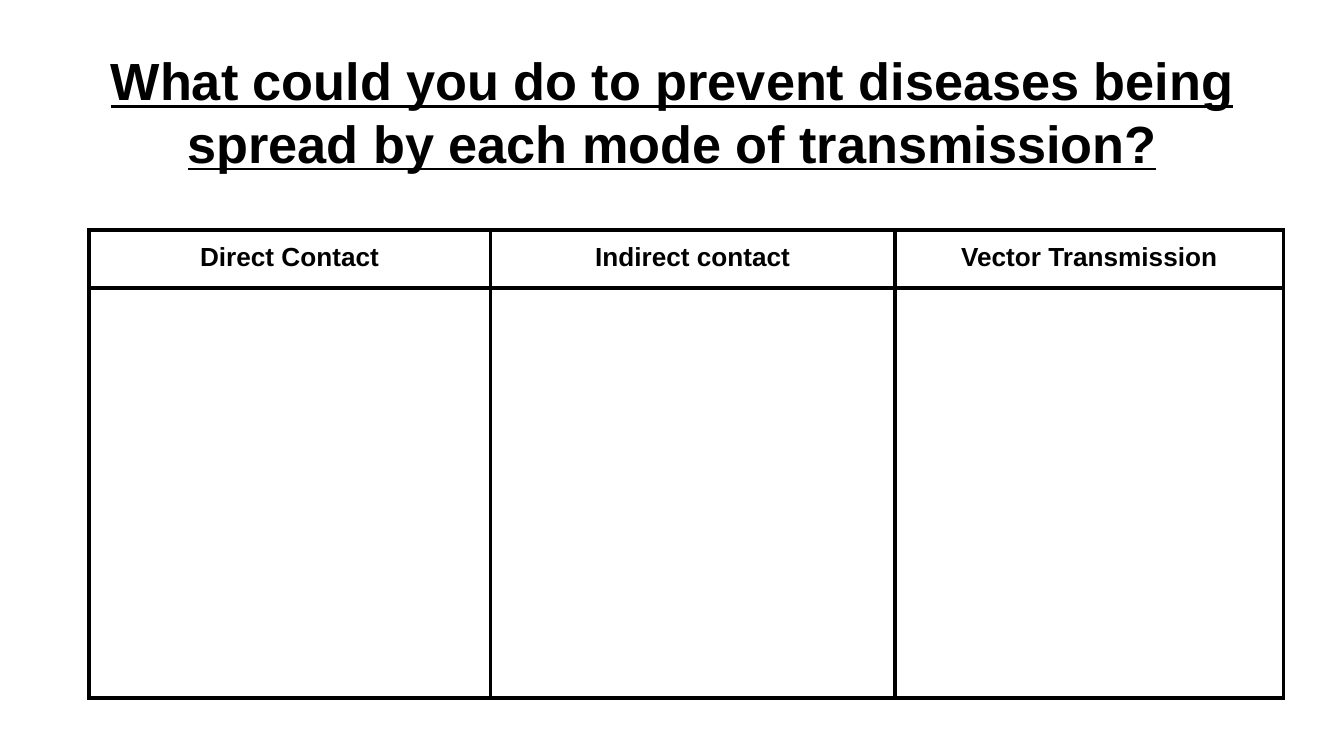
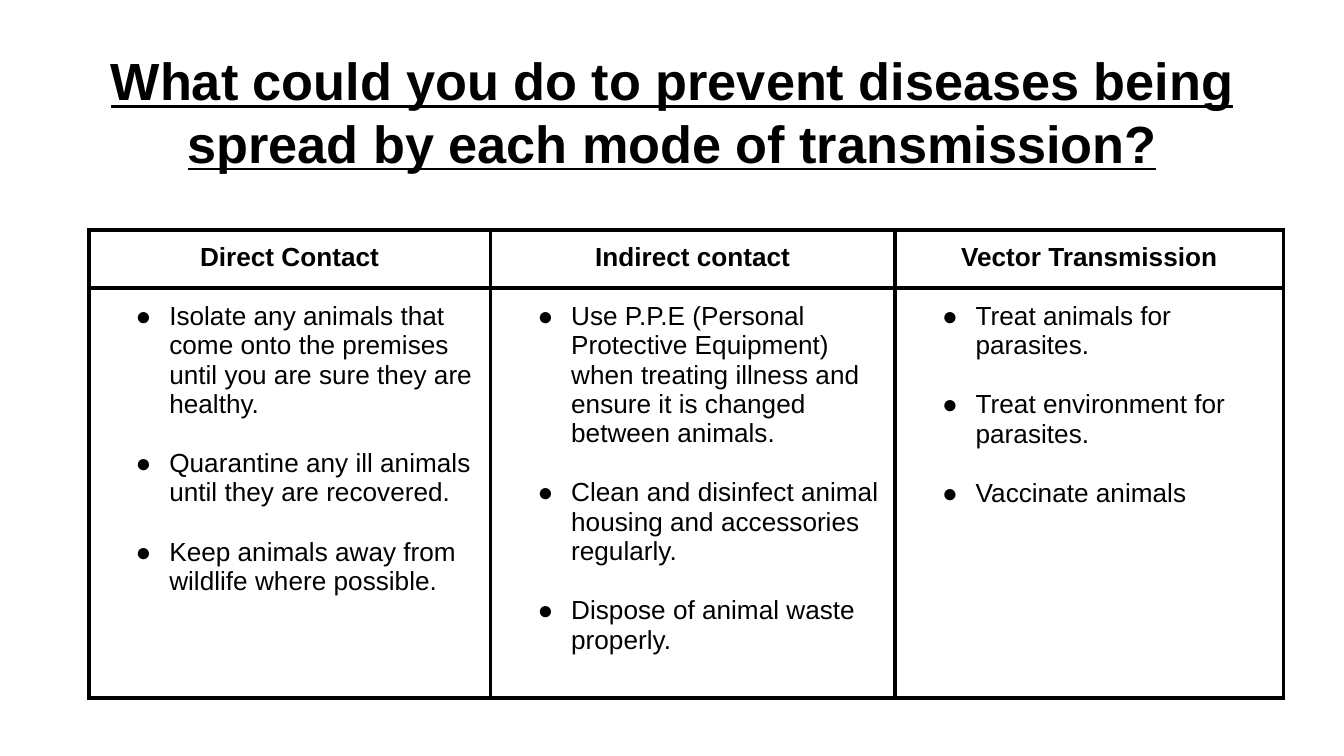
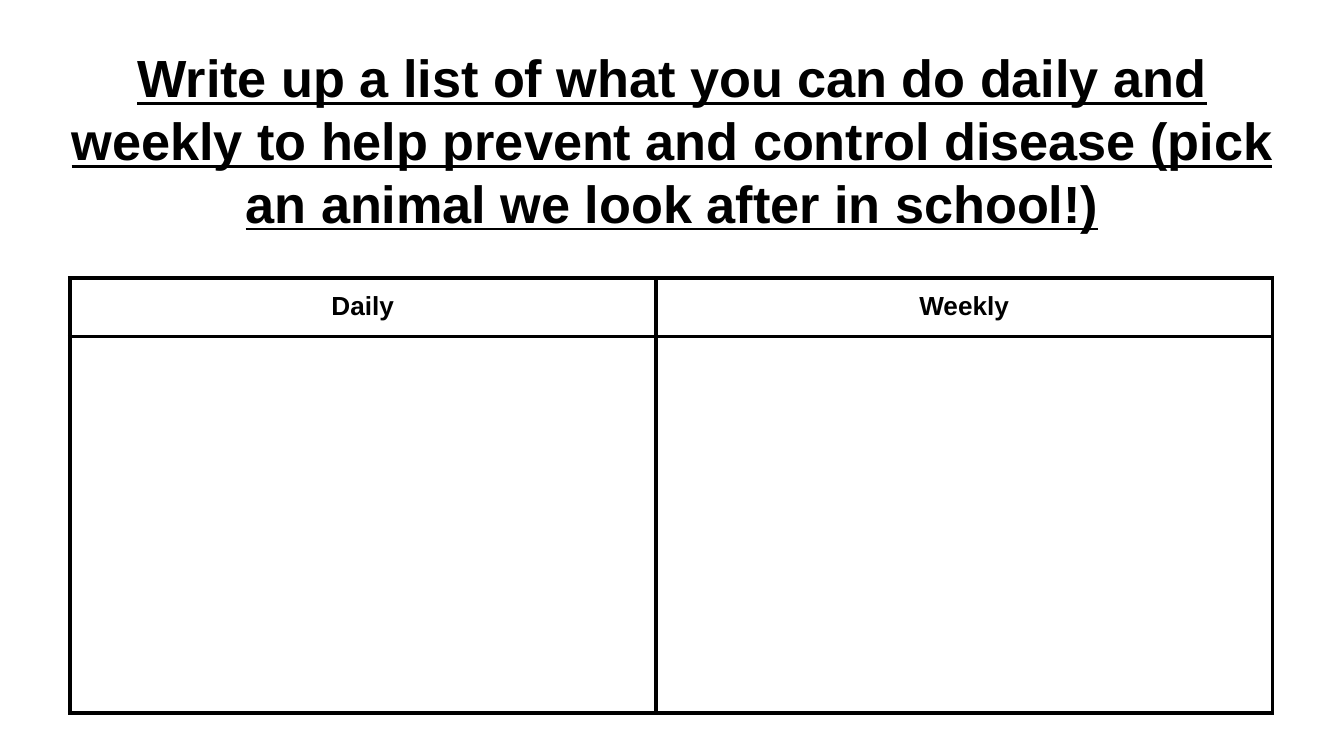
from lxml.etree import SubElement
from pptx import Presentation
from pptx.dml.color import RGBColor
from pptx.enum.text import MSO_ANCHOR, PP_ALIGN
from pptx.oxml.ns import qn
from pptx.util import Pt

# Content
PREVENT_TITLE = ("What could you do to prevent diseases being spread "
                 "by each mode of transmission?")
ROUTINE_TITLE = ("Write up a list of what you can do daily and weekly to help "
                 "prevent and control disease (pick an animal we look after in school!)")
MODES = ["Direct Contact", "Indirect contact", "Vector Transmission"]
PREVENTIONS = [
    ["Isolate any animals that come onto the premises until you are sure they are healthy.",
     "Quarantine any ill animals until they are recovered.",
     "Keep animals away from wildlife where possible."],
    ["Use P.P.E (Personal Protective Equipment) when treating illness and ensure "
     "it is changed between animals.",
     "Clean and disinfect animal housing and accessories regularly.",
     "Dispose of animal waste properly."],
    ["Treat animals for parasites.",
     "Treat environment for parasites.",
     "Vaccinate animals"],
]

# Grid positions and sizes, in points
MODES_GRID = {"left": 47.5, "top": 123.1, "widths": [215.3, 216.7, 208.1],
              "heights": [30.2, 219.6]}
ROUTINE_GRID = {"left": 37.4, "top": 149, "widths": [313.9, 330.5],
                "heights": [30.2, 201.6]}

SLIDES = [
    {"title": PREVENT_TITLE, "title_top": 18.7, "grid": MODES_GRID,
     "headings": MODES, "answers": []},
    {"title": PREVENT_TITLE, "title_top": 18.7, "grid": MODES_GRID,
     "headings": MODES, "answers": PREVENTIONS},
    {"title": ROUTINE_TITLE, "title_top": 17.3, "grid": ROUTINE_GRID,
     "headings": ["Daily", "Weekly"], "answers": []},
]

# Shared style
BLACK = RGBColor(0, 0, 0)
WHITE = RGBColor(255, 255, 255)
FONT = "Arial"
TITLE_SIZE, TABLE_SIZE = 28, 14
PADDING = Pt(7.2)
BORDER = Pt(2.25)
BULLET_INDENT, BULLET_HANG = Pt(36), Pt(18)
ITEM_GAP = Pt(16)


def style_font(paragraph, size, bold=False, underline=False):
    for run in paragraph.runs:
        font = run.font
        font.name, font.size, font.color.rgb = FONT, Pt(size), BLACK
        font.bold, font.underline = bold, underline


def pad(box):
    box.margin_left = box.margin_right = PADDING
    box.margin_top = box.margin_bottom = PADDING


def add_title(slide, title, top):
    frame = slide.shapes.add_textbox(Pt(24.5), Pt(top), Pt(671), Pt(45.4)).text_frame
    frame.word_wrap = True
    frame.vertical_anchor = MSO_ANCHOR.TOP
    pad(frame)
    heading = frame.paragraphs[0]
    heading.text = title
    heading.alignment = PP_ALIGN.CENTER
    style_font(heading, TITLE_SIZE, bold=True, underline=True)


def add_borders(cell):
    properties = cell._tc.get_or_add_tcPr()
    for side in ("a:lnL", "a:lnR", "a:lnT", "a:lnB"):
        line = SubElement(properties, qn(side), w=str(BORDER))
        fill = SubElement(line, qn("a:solidFill"))
        SubElement(fill, qn("a:srgbClr"), val=str(BLACK))


def add_bullet(paragraph):
    properties = paragraph._p.get_or_add_pPr()
    properties.set("marL", str(BULLET_INDENT))
    properties.set("indent", str(-BULLET_HANG))
    color = SubElement(properties, qn("a:buClr"))
    SubElement(color, qn("a:srgbClr"), val=str(BLACK))
    SubElement(properties, qn("a:buFont"), typeface=FONT)
    SubElement(properties, qn("a:buChar"), char="●")


def fill_answers(cell, answers):
    cell.text_frame.text = "\n".join(answers)
    for index, item in enumerate(cell.text_frame.paragraphs):
        add_bullet(item)
        if index:
            item.space_before = ITEM_GAP
        style_font(item, TABLE_SIZE)


def add_grid(slide, grid, headings, answers):
    widths, heights = grid["widths"], grid["heights"]
    table = slide.shapes.add_table(
        len(heights), len(widths), Pt(grid["left"]), Pt(grid["top"]),
        Pt(sum(widths)), Pt(sum(heights))).table
    table.first_row = table.horz_banding = False
    for column, width in zip(table.columns, widths):
        column.width = Pt(width)
    for row, height in zip(table.rows, heights):
        row.height = Pt(height)
    for cell in table.iter_cells():
        pad(cell)
        add_borders(cell)
        cell.fill.background()

    # Heading row, then one bulleted cell per column
    for column, text in enumerate(headings):
        heading = table.cell(0, column).text_frame.paragraphs[0]
        heading.text = text
        heading.alignment = PP_ALIGN.CENTER
        style_font(heading, TABLE_SIZE, bold=True)
    for column, items in enumerate(answers):
        fill_answers(table.cell(1, column), items)


def main():
    deck = Presentation()
    deck.slide_width, deck.slide_height = Pt(720), Pt(405)
    for content in SLIDES:
        slide = deck.slides.add_slide(deck.slide_layouts[6])
        slide.background.fill.solid()
        slide.background.fill.fore_color.rgb = WHITE
        add_title(slide, content["title"], content["title_top"])
        add_grid(slide, content["grid"], content["headings"], content["answers"])
    deck.save("out.pptx")


if __name__ == "__main__":
    main()
